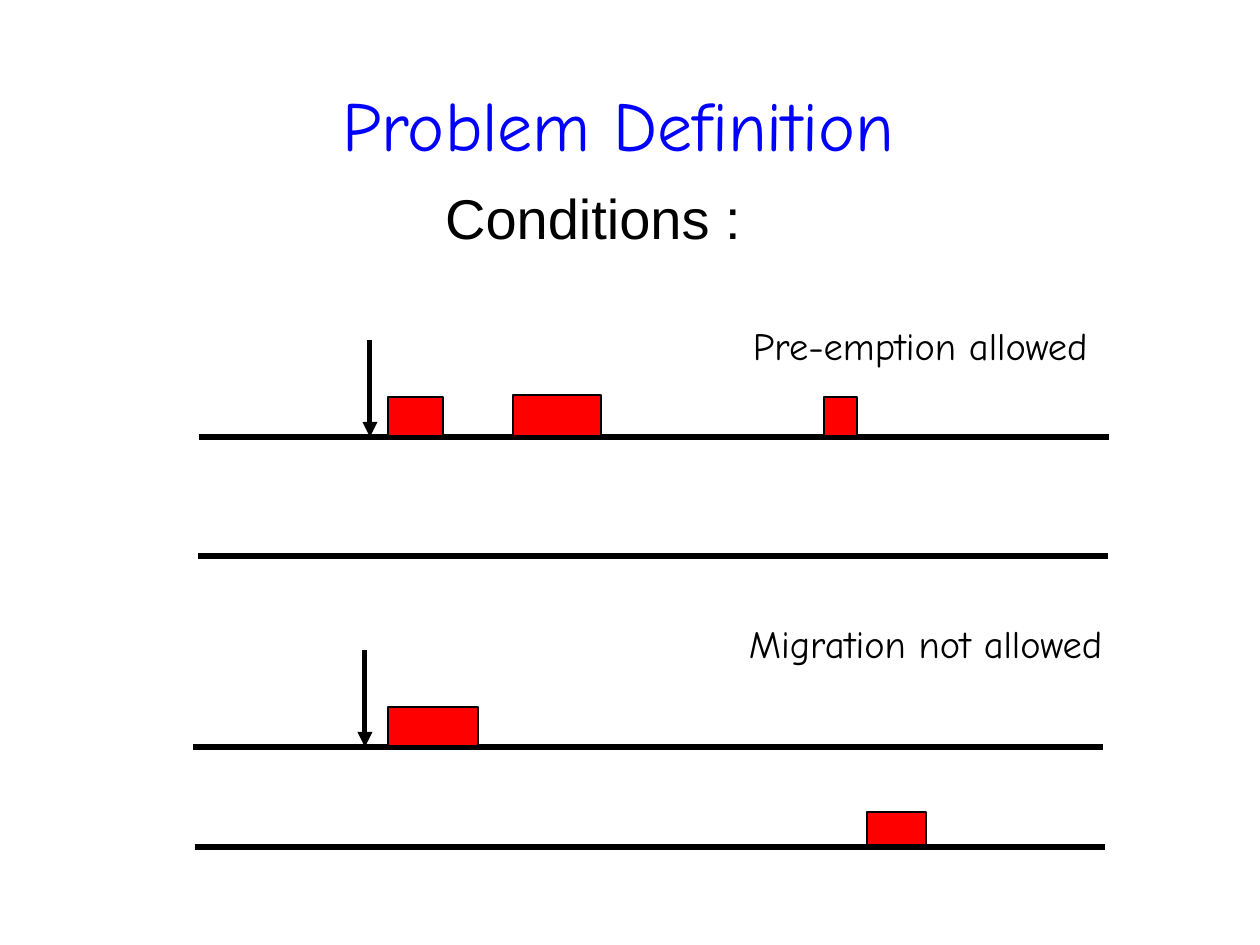
from lxml import etree
from pptx import Presentation
from pptx import util as u
from pptx.dml.color import RGBColor
from pptx.enum import shapes, text
from pptx.oxml.ns import qn

SCALE = 914400 / 126
BLUE = RGBColor(0, 0, 255)
RED = RGBColor(255, 0, 0)
BLACK = RGBColor(0, 0, 0)
COMIC = "Comic Neue"


def px(n):
    return u.Emu(round(n * SCALE))


def add_run(para, words, font, size, color):
    run = para.add_run()
    run.text = words
    run.font.name = font
    run.font.size = u.Pt(size)
    run.font.color.rgb = color


def set_frame(frame, side, top, wrap, anchor):
    frame.margin_left = frame.margin_right = px(side)
    frame.margin_top = frame.margin_bottom = px(top)
    frame.word_wrap = wrap
    frame.auto_size = text.MSO_AUTO_SIZE.NONE
    frame.vertical_anchor = anchor


def fill_holder(holder, box, words, font, size, color, space):
    holder.left, holder.top, holder.width, holder.height = map(px, box)
    frame = holder.text_frame
    set_frame(frame, 0, 0, True, text.MSO_ANCHOR.MIDDLE)
    para = frame.paragraphs[0]
    para.alignment = text.PP_ALIGN.CENTER
    para.line_spacing = space
    para.space_before = u.Pt(0)
    add_run(para, words, font, size, color)


def add_label(slide, x, y, w, words):
    box = slide.shapes.add_textbox(px(x), px(y), px(w), px(64))
    set_frame(box.text_frame, 11, 5, False, text.MSO_ANCHOR.TOP)
    para = box.text_frame.paragraphs[0]
    para.line_spacing = 1.17
    add_run(para, words, COMIC, 22, BLACK)


def add_line(slide, x1, y1, x2, y2, arrow=False):
    line = slide.shapes.add_connector(
        shapes.MSO_CONNECTOR.STRAIGHT, px(x1), px(y1), px(x2), px(y2))
    line.line.color.rgb = BLACK
    line.line.width = u.Pt(2.89)
    if arrow:
        etree.SubElement(line.line._get_or_add_ln(), qn("a:tailEnd"),
                         type="triangle")
    etree.SubElement(line._element.spPr, qn("a:effectLst"))


def add_axis(slide, x, y):
    add_line(slide, x, y, x + 910, y)


def add_arrow(slide, x, y):
    add_line(slide, x, y - 97, x, y, arrow=True)


def add_job(slide, x, y, w, h):
    job = slide.shapes.add_shape(
        shapes.MSO_SHAPE.RECTANGLE, px(x), px(y), px(w), px(h))
    job.shadow.inherit = False
    job.fill.solid()
    job.fill.fore_color.rgb = RED
    job.line.color.rgb = BLACK
    job.line.width = u.Pt(0.75)


def main():
    deck = Presentation()
    deck.slide_width, deck.slide_height = px(1260), px(945)
    slide = deck.slides.add_slide(deck.slide_layouts[0])
    title, sub = slide.placeholders
    fill_holder(title, (63, 38, 1134, 157), "Problem Definition ",
                COMIC, 40, BLUE, 1.17)
    fill_holder(sub, (34, 174, 1134, 86), "Conditions : ",
                "Arial", 32, BLACK, 1)

    for x, y in ((193, 747), (195, 847), (198, 556), (199, 437)):
        add_axis(slide, x, y)
    for x, y in ((365, 747), (370, 437)):
        add_arrow(slide, x, y)
    for job in ((388, 707, 90, 39), (867, 812, 59, 33), (388, 397, 55, 39),
                (513, 395, 88, 41), (824, 397, 33, 39)):
        add_job(slide, *job)

    add_label(slide, 742, 309, 378, "Pre-emption allowed")
    add_label(slide, 738, 607, 403, "Migration not allowed")
    deck.save("out.pptx")


if __name__ == "__main__":
    main()
